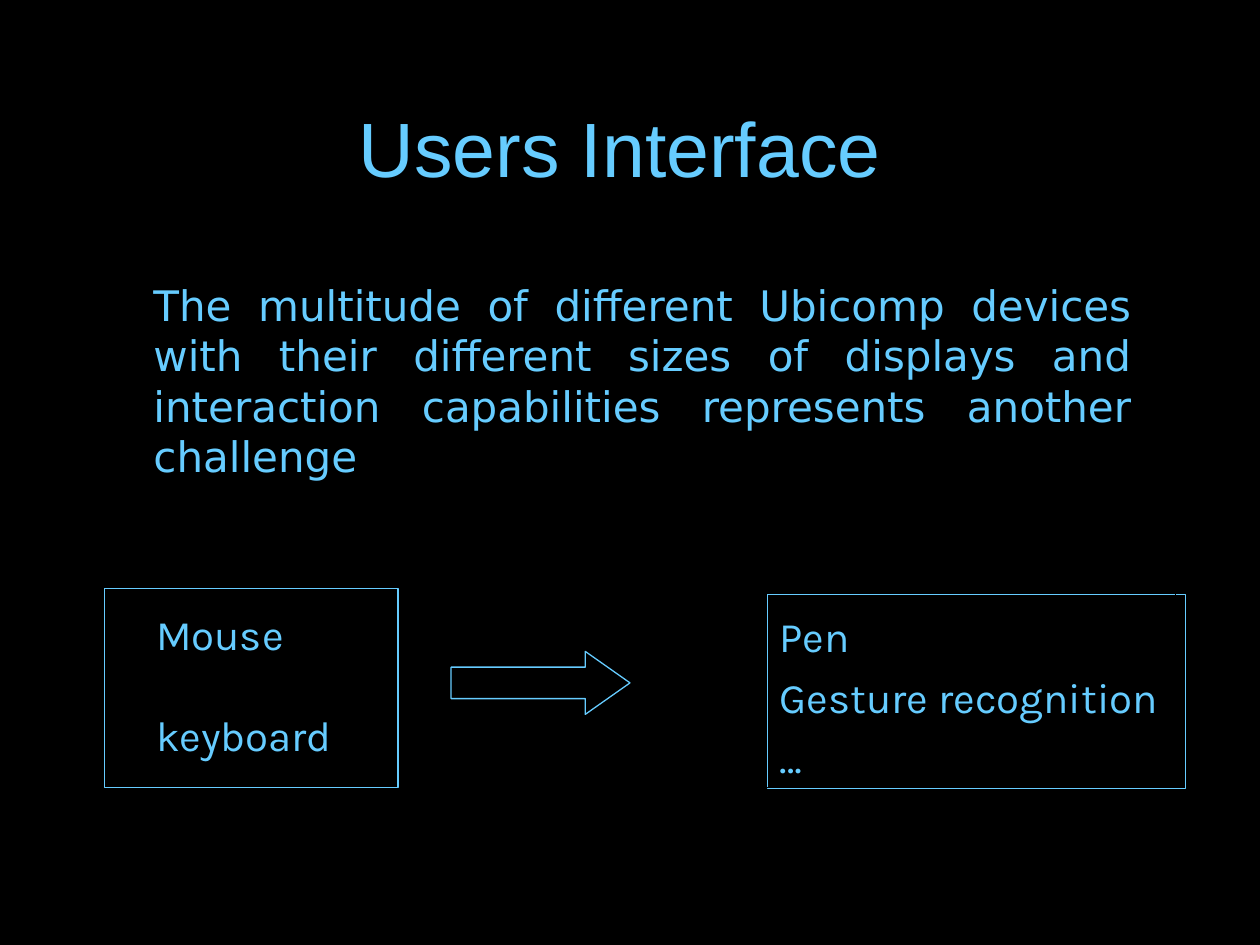
"""Build the Users Interface slide: old input devices lead to new ones."""
from pptx import Presentation, util as u
from pptx.dml.color import RGBColor
from pptx.enum import shapes, text

SKY = RGBColor(0x66, 0xCC, 0xFF)
BLACK = RGBColor(0, 0, 0)

TITLE = "Users Interface"
CLAIM = ("The multitude of different Ubicomp devices with their different "
         "sizes of displays and interaction capabilities represents another "
         "challenge")
OLD = ["Mouse", "keyboard"]
NEW = ["Pen", "Gesture recognition", "…"]

TITLE_BOX = (0.67, 0.33, 8.5, 1.25)
CLAIM_BOX = (1.12, 2.17, 7.96, 1.3)
OLD_TEXT = (1.14, 4.78, 1.67, 1.3)
OLD_FRAME = (0.83, 4.67, 2.33, 1.58)
NEW_TEXT = (6.09, 4.72, 3.32, 1.54)
NEW_FRAME = (6, 4.67, 3.33, 1.58)
ARROW = (3.58, 5.17, 1.42, 0.5)


def place(box):
    return [u.Inches(n) for n in box]


def write(frame, lines, font, size, align, gap=0, lead=1.0):
    for i, line in enumerate(lines):
        para = frame.add_paragraph() if i else frame.paragraphs[0]
        para.alignment = align
        para.line_spacing = lead
        para.space_before = u.Pt(gap if i else 0)
        run = para.add_run()
        run.text = line
        run.font.name = font
        run.font.size = u.Pt(size)
        run.font.color.rgb = SKY


def draw(tree, kind, box, color, fill=None):
    shape = tree.add_shape(kind, *place(box))
    shape.shadow.inherit = False
    if fill is None:
        shape.fill.background()
    else:
        shape.fill.solid()
        shape.fill.fore_color.rgb = fill
    shape.line.color.rgb = color
    shape.line.width = u.Pt(0.75)
    return shape


def set_frame(shape, wrap):
    frame = shape.text_frame
    frame.word_wrap = wrap
    frame.auto_size = text.MSO_AUTO_SIZE.SHAPE_TO_FIT_TEXT
    frame.vertical_anchor = text.MSO_ANCHOR.TOP
    return frame


def main():
    deck = Presentation()
    deck.slide_width, deck.slide_height = u.Inches(10), u.Inches(7.5)
    slide = deck.slides.add_slide(deck.slide_layouts[5])
    slide.background.fill.solid()
    slide.background.fill.fore_color.rgb = BLACK
    tree = slide.shapes
    rect = shapes.MSO_SHAPE.RECTANGLE
    left = text.PP_ALIGN.LEFT

    title = tree.title
    title.left, title.top, title.width, title.height = place(TITLE_BOX)
    title.text_frame.vertical_anchor = text.MSO_ANCHOR.BOTTOM
    write(title.text_frame, [TITLE], "Arial", 44, text.PP_ALIGN.CENTER)

    claim = tree.add_textbox(*place(CLAIM_BOX))
    write(set_frame(claim, True), [CLAIM], "DejaVu Sans", 24,
          text.PP_ALIGN.JUSTIFY)

    new = tree.add_group_shape().shapes
    panel = draw(new, rect, NEW_TEXT, SKY)
    write(set_frame(panel, False), NEW, "Karla", 24, left, lead=1.2)
    draw(new, rect, NEW_FRAME, BLACK)

    old = tree.add_group_shape().shapes
    label = old.add_textbox(*place(OLD_TEXT))
    write(set_frame(label, False), OLD, "Karla", 24, left, gap=29)
    draw(old, rect, OLD_FRAME, SKY)

    arrow = draw(tree, shapes.MSO_SHAPE.RIGHT_ARROW, ARROW, SKY, BLACK)
    arrow.adjustments[0] = 0.5
    arrow.adjustments[1] = 0.71

    deck.save("out.pptx")


if __name__ == "__main__":
    main()
